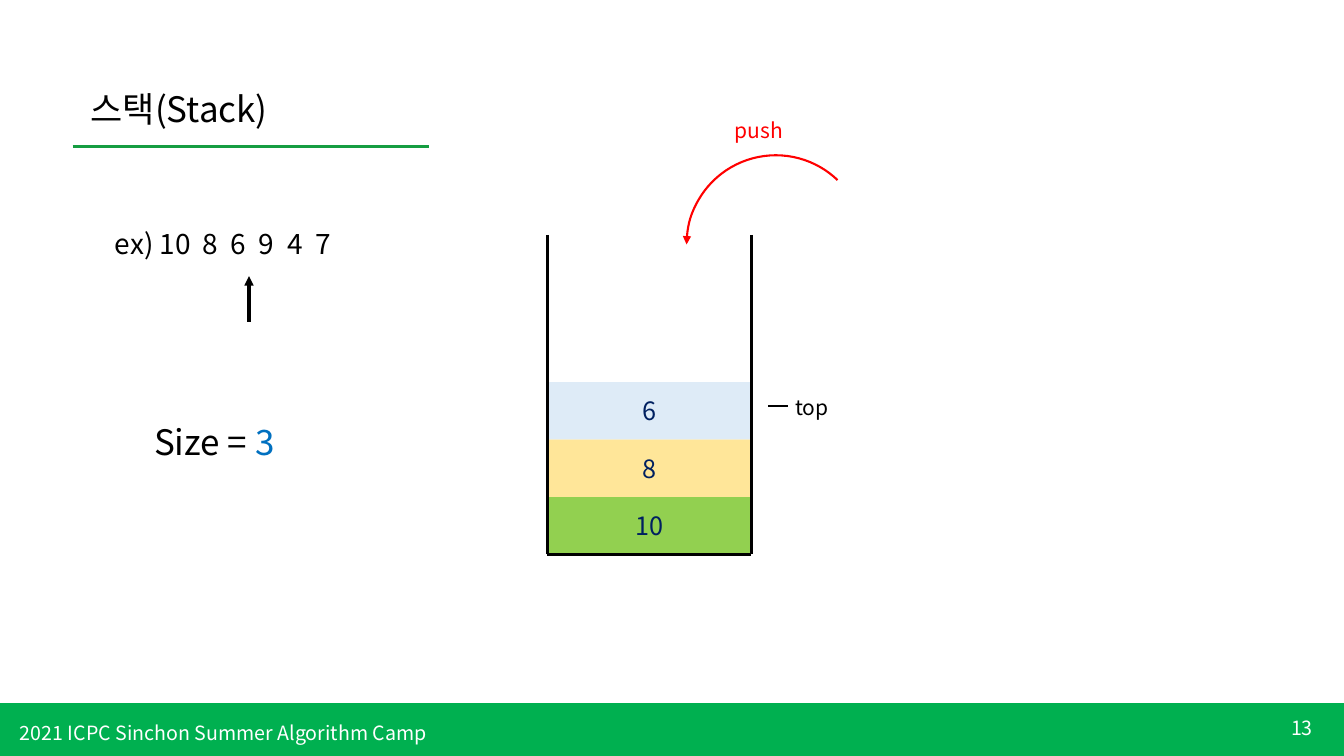
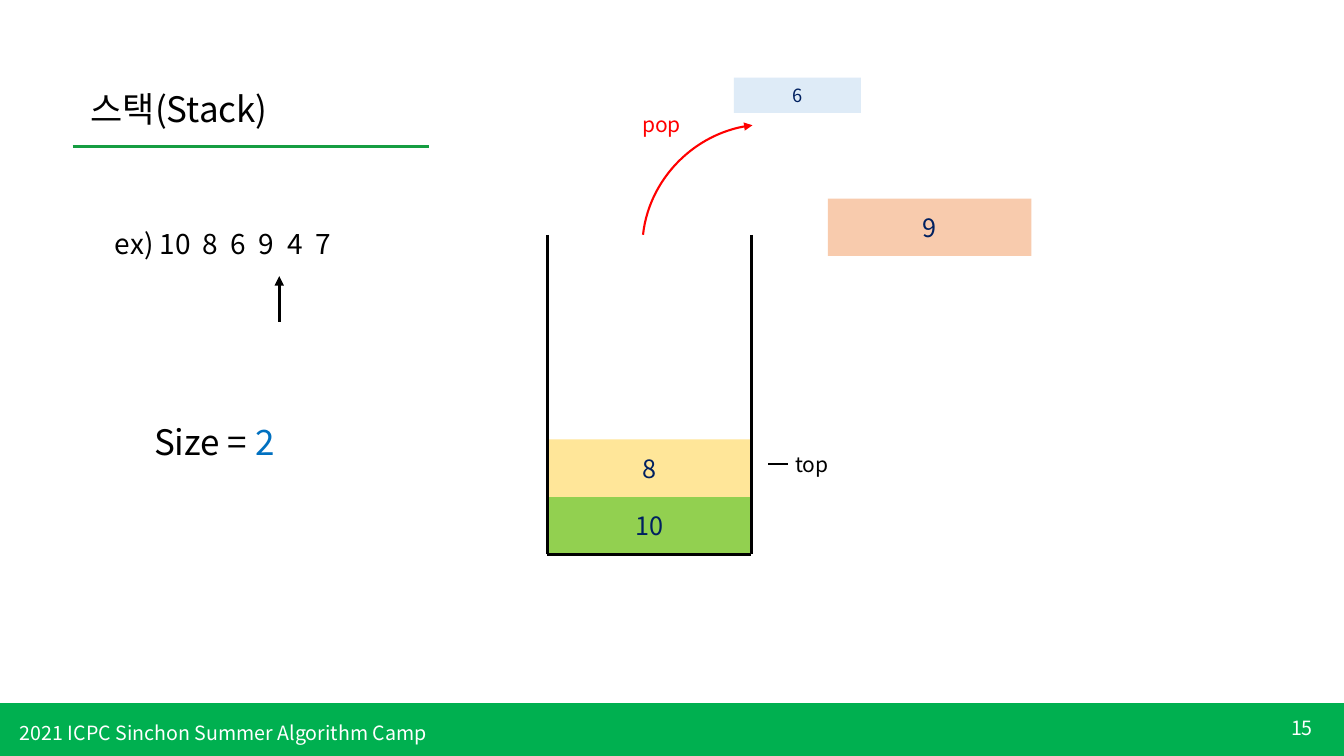
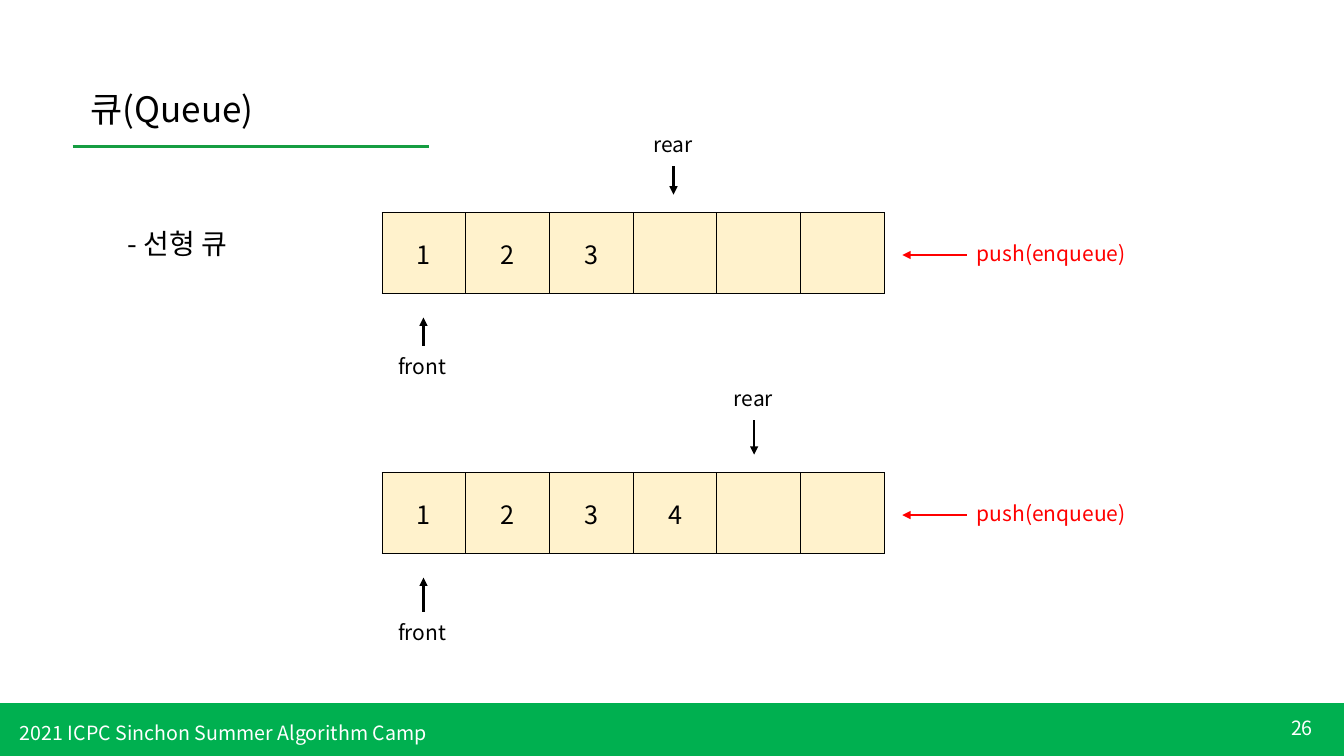
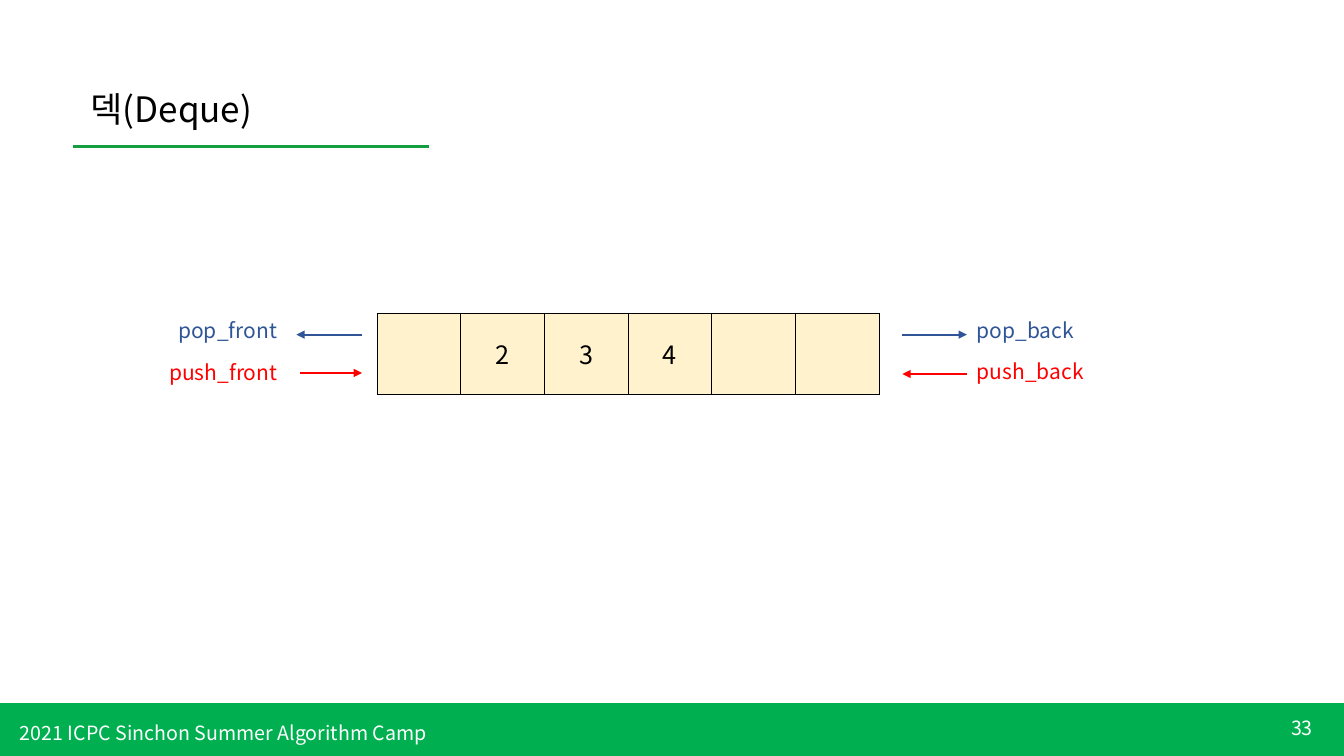
from lxml.etree import SubElement
from pptx import Presentation
from pptx.dml.color import RGBColor
from pptx.enum.shapes import MSO_CONNECTOR, MSO_SHAPE
from pptx.enum.text import MSO_ANCHOR, MSO_AUTO_SIZE, PP_ALIGN
from pptx.oxml.ns import qn
from pptx.util import Inches, Pt

FONT = "Noto Sans CJK KR"
BLACK = RGBColor(0x00, 0x00, 0x00)
WHITE = RGBColor(0xFF, 0xFF, 0xFF)
BAND = RGBColor(0x00, 0xB0, 0x50)
RULE = RGBColor(0x15, 0x9D, 0x41)
RED = RGBColor(0xFF, 0x00, 0x00)
BLUE = RGBColor(0x00, 0x70, 0xC0)
STEEL = RGBColor(0x2F, 0x55, 0x97)
NAVY = RGBColor(0x00, 0x20, 0x60)
CREAM = RGBColor(0xFF, 0xF2, 0xCC)
GREEN = RGBColor(0x92, 0xD0, 0x50)
YELLOW = RGBColor(0xFF, 0xE6, 0x99)
PALE = RGBColor(0xDE, 0xEB, 0xF7)
PEACH = RGBColor(0xF8, 0xCB, 0xAD)

CAMP = "2021 ICPC Sinchon Summer Algorithm Camp"
WIDE, TALL = 2.02, 0.57  # stack block
CELL, HIGH = 0.83, 0.8  # queue cell
STACK = [("10", GREEN), ("8", YELLOW), ("6", PALE)]


def put(para, text, size, color=BLACK):
    run = para.add_run()
    run.text = text
    run.font.size = Pt(size)
    run.font.color.rgb = color
    run.font.name = FONT
    SubElement(run.font._element, qn("a:ea"), typeface=FONT)


def label(slide, x, y, w, h, text, size=15, color=BLACK):
    frame = slide.shapes.add_textbox(
        Inches(x), Inches(y), Inches(w), Inches(h)).text_frame
    frame.word_wrap = True
    put(frame.paragraphs[0], text, size, color)
    return frame


def line(shapes, start, end, color=BLACK, width=1.5, arrow=False):
    """Draw a straight line; an arrow points at its end."""
    link = shapes.add_connector(
        MSO_CONNECTOR.STRAIGHT, *[Inches(v) for v in (*start, *end)])
    link.line.color.rgb = color
    link.line.width = Pt(width)
    props = link._element.spPr
    if arrow:
        SubElement(props.find(qn("a:ln")), qn("a:tailEnd"), type="triangle")
    SubElement(props, qn("a:effectLst"))


def block(slide, x, y, w, h, text, fill, size=18):
    rect = slide.shapes.add_shape(
        MSO_SHAPE.RECTANGLE, Inches(x), Inches(y), Inches(w), Inches(h))
    rect.shadow.inherit = False
    rect.fill.solid()
    rect.fill.fore_color.rgb = fill
    rect.line.fill.background()
    if text:
        para = rect.text_frame.paragraphs[0]
        para.alignment = PP_ALIGN.CENTER
        put(para, text, size, NAVY)
    return rect


def arc(slide, x, y, w, h, turn, bends, flip=False):
    curve = slide.shapes.add_shape(
        MSO_SHAPE.ARC, Inches(x), Inches(y), Inches(w), Inches(h))
    curve.shadow.inherit = False
    curve.fill.background()
    curve.line.color.rgb = RED
    curve.line.width = Pt(1.5)
    curve.rotation = turn
    for i, bend in enumerate(bends):
        curve.adjustments[i] = bend
    props = curve._element.spPr
    SubElement(props.find(qn("a:ln")), qn("a:headEnd"), type="triangle")
    if flip:
        props.find(qn("a:xfrm")).set("flipH", "1")


def base(deck, title, page):
    """Add a slide with its title, rule, footer band and page number."""
    slide = deck.slides.add_slide(deck.slide_layouts[5])
    head = slide.shapes.title
    head.left, head.top = Inches(0.8), Inches(0.82)
    head.width, head.height = Inches(3.52), Inches(0.52)
    frame = head.text_frame
    frame.auto_size = MSO_AUTO_SIZE.NONE
    frame.vertical_anchor = MSO_ANCHOR.TOP
    frame.paragraphs[0].alignment = PP_ALIGN.LEFT
    put(frame.paragraphs[0], title, 25)
    line(slide.shapes, (0.72, 1.45), (4.25, 1.45), RULE, 2.25)

    band = block(slide, 0, 6.98, 13.33, 0.52, "", BAND)
    band.line.color.rgb = BAND
    band.line.width = Pt(1)
    number = label(slide, 12.12, 7.02, 1, 0.4, str(page), 14, WHITE)
    number.vertical_anchor = MSO_ANCHOR.MIDDLE
    number.paragraphs[0].alignment = PP_ALIGN.RIGHT
    label(slide, 0.1, 7.1, 5.76, 0.34, CAMP, 14, WHITE)
    return slide


def cup(slide, x, y, items):
    """Draw an open stack whose mouth is at x, y and mark its top item."""
    right, floor = x + WIDE, y + 3.17
    for i, (text, fill) in enumerate(items):
        top = floor - TALL * (i + 1)
        block(slide, x, top, WIDE, TALL, text, fill)
    walls = slide.shapes.add_group_shape().shapes
    for start, end in [((x, y), (x, floor)), ((right, y), (right, floor)),
                       ((right, floor), (x, floor))]:
        line(walls, start, end, BLACK, 2.25)
    label(slide, right + 0.34, top + 0.07, 0.74, 0.35, "top")
    line(slide.shapes, (right + 0.17, top + 0.24), (right + 0.37, top + 0.24))


def feed(slide, x, y, mark, count):
    """List the input, point at the item in hand and give the stack size."""
    frame = label(slide, x, y, 3.89, 0.44, "ex) 10\t8\t6\t9\t4\t7", 20)
    props = frame.paragraphs[0]._element.get_or_add_pPr()
    tabs = SubElement(props, qn("a:tabLst"))
    for i in range(5):
        SubElement(tabs, qn("a:tab"),
                   pos=str(Inches(0.87 + 0.28 * i)), algn="l")
    line(slide.shapes, (x + mark, y + 0.99), (x + mark, y + 0.54),
         BLACK, 2.25, True)
    size = label(slide, x + 0.39, y + 1.92, 1.55, 0.52, "Size = ", 25)
    put(size.paragraphs[0], str(count), 25, BLUE)


def stack(deck, page, items, mark):
    slide = base(deck, "스택(Stack)", page)
    cup(slide, 5.43, 2.33, items)
    feed(slide, 1.04, 2.2, mark, len(items))
    return slide


def cells(slide, x, y, texts):
    table = slide.shapes.add_table(
        1, len(texts), Inches(x), Inches(y),
        Inches(CELL * len(texts)), Inches(HIGH)).table
    table.first_row = table.horz_banding = False
    for i, text in enumerate(texts):
        table.columns[i].width = Inches(CELL)
        cell = table.cell(0, i)
        cell.margin_left = cell.margin_right = Inches(0.08)
        cell.margin_top = cell.margin_bottom = Inches(0.04)
        cell.vertical_anchor = MSO_ANCHOR.MIDDLE
        props = cell._tc.get_or_add_tcPr()
        for side in ("lnL", "lnR", "lnT", "lnB"):
            edge = SubElement(props, qn("a:" + side), w=str(Pt(1)))
            ink = SubElement(edge, qn("a:solidFill"))
            SubElement(ink, qn("a:srgbClr"), val=str(BLACK))
        cell.fill.solid()
        cell.fill.fore_color.rgb = CREAM
        if text:
            para = cell.text_frame.paragraphs[0]
            para.alignment = PP_ALIGN.CENTER
            put(para, text, 18)


def queue(slide, x, y, texts, rear, reach):
    """Draw a queue; rear is the offset of its arrow, reach its length."""
    cells(slide, x, y, texts)
    front, back = x + 0.41, x + rear
    low, high = y + 1.04 + reach, y - 0.18 - reach
    line(slide.shapes, (front, low), (front, y + 1.04), arrow=True)
    label(slide, front - 0.35, low + 0.03, 0.86, 0.35, "front")
    line(slide.shapes, (back, high), (back, y - 0.18), arrow=True)
    label(slide, back - 0.3, high - 0.39, 0.73, 0.35, "rear")
    line(slide.shapes, (x + 5.8, y + 0.42), (x + 5.16, y + 0.42), RED,
         arrow=True)
    label(slide, x + 5.8, y + 0.23, 1.74, 0.35, "push(enqueue)", color=RED)


def deque(slide, x, y, texts):
    cells(slide, x, y, texts)
    moves = [("push_back", RED, 5.85, 5.21, 0.6, 5.85, 0.4),
             ("push_front", RED, -0.76, -0.15, 0.59, -2.16, 0.41),
             ("pop_front", STEEL, -0.15, -0.8, 0.21, -2.07, -0.01),
             ("pop_back", STEEL, 5.21, 5.85, 0.21, 5.85, -0.01)]
    for text, color, start, end, level, left, top in moves:
        line(slide.shapes, (x + start, y + level), (x + end, y + level),
             color, arrow=True)
        label(slide, x + left, y + top, 1.74, 0.35, text, color=color)


def main():
    deck = Presentation()
    deck.slide_width, deck.slide_height = Inches(13.33), Inches(7.5)

    push = stack(deck, 13, STACK, 1.43)
    arc(push, 6.81, 1.54, 1.77, 1.77, 270, (162, 26.26))
    label(push, 7.19, 1.12, 0.79, 0.35, "push", color=RED)

    pop = stack(deck, 15, STACK[:2], 1.73)
    block(pop, 8.21, 1.97, WIDE, TALL, "9", PEACH)
    arc(pop, 6.42, 1.19, 2.14, 2.33, 45.1, (189.9, 26.26), True)
    label(pop, 6.27, 1.06, 0.79, 0.35, "pop", color=RED)
    block(pop, 7.28, 0.77, 1.26, 0.35, "6", PALE, 13)

    lines = base(deck, "큐(Queue)", 26)
    label(lines, 1.17, 2.2, 1.21, 0.44, "- 선형 큐", 20)
    queue(lines, 3.79, 2.11, ["1", "2", "3", "", "", ""], 2.89, 0.28)
    queue(lines, 3.79, 4.69, ["1", "2", "3", "4", "", ""], 3.69, 0.34)

    both = base(deck, "덱(Deque)", 33)
    deque(both, 3.74, 3.11, ["", "2", "3", "4", "", ""])

    deck.save("out.pptx")


if __name__ == "__main__":
    main()
